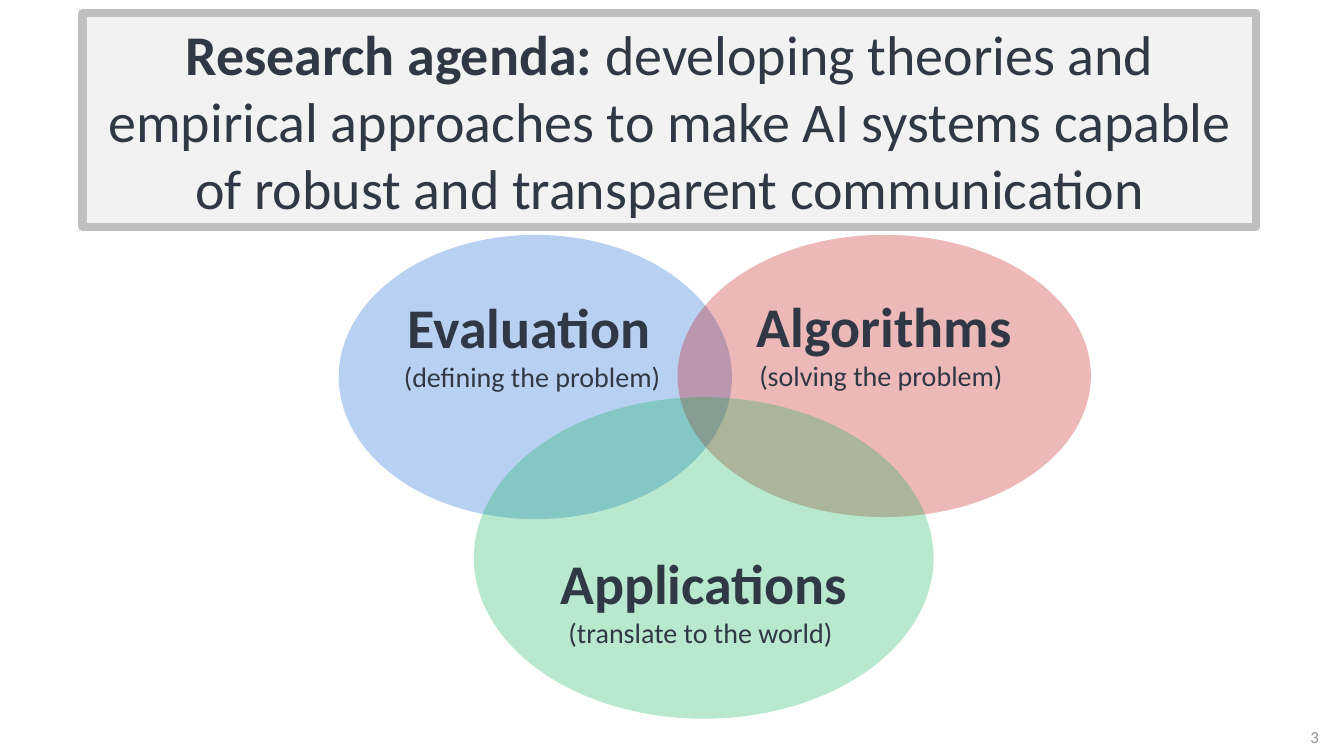
from lxml import etree
from pptx import Presentation
from pptx.dml.color import RGBColor
from pptx.enum import shapes, text
from pptx.oxml.ns import qn
from pptx.util import Inches, Pt

FONT = "Calibri"
INK = "303845"


def rgb(value):
    return RGBColor.from_string(value)


def style_run(r, size, color=INK, bold=False):
    r.font.name = FONT
    r.font.size = Pt(size)
    r.font.bold = bold
    r.font.color.rgb = rgb(color)


def add_filled(s, kind, box, fill):
    sp = s.shapes.add_shape(kind, *map(Inches, box))
    sp.shadow.inherit = False
    sp.fill.solid()
    sp.fill.fore_color.rgb = rgb(fill)
    sp.line.fill.background()
    tf = sp.text_frame
    tf.word_wrap = True
    tf.vertical_anchor = text.MSO_ANCHOR.MIDDLE
    return sp


def add_circle(s, box, fill, title, note, top=0, bottom=0):
    """Venn ellipse; the insets move its label off the overlaps."""
    sp = add_filled(s, shapes.MSO_SHAPE.OVAL, box, fill)
    color = sp.fill._xPr.find(qn("a:solidFill"))[0]
    etree.SubElement(color, qn("a:alpha"), val="28000")
    tf = sp.text_frame
    tf.margin_left = tf.margin_right = 0
    tf.margin_top, tf.margin_bottom = Inches(top), Inches(bottom)
    p = tf.paragraphs[0]
    p.text = f"{title}\v{note} "
    p.alignment = text.PP_ALIGN.CENTER
    style_run(p.runs[0], 40, bold=True)
    style_run(p.runs[1], 20)


def add_banner(s, box, lead, body):
    sp = add_filled(s, shapes.MSO_SHAPE.RECTANGLE, box, "F2F2F2")
    sp.line.color.rgb = rgb("BFBFBF")
    sp.line.width = Pt(6)
    p = sp.text_frame.paragraphs[0]
    p.alignment = text.PP_ALIGN.CENTER
    for words, bold in ((lead, True), (body, False)):
        r = p.add_run()
        r.text = words
        style_run(r, 40, bold=bold)


def add_page_number(s, box, number):
    tf = s.shapes.add_textbox(*map(Inches, box)).text_frame
    tf.word_wrap = True
    tf.vertical_anchor = text.MSO_ANCHOR.MIDDLE
    p = tf.paragraphs[0]
    p.text = number
    p.alignment = text.PP_ALIGN.CENTER
    style_run(p.runs[0], 12, "8F9194")


def main():
    prs = Presentation()
    prs.slide_width, prs.slide_height = Inches(13.33), Inches(7.5)
    s = prs.slides.add_slide(prs.slide_layouts[6])

    add_page_number(s, (12.75, 7.11, 0.58, 0.4), "3")

    # Venn diagram
    add_circle(s, (3.36, 2.33, 3.9, 2.82), "005AD4",
               "Evaluation ", "(defining the problem)", bottom=0.68)
    add_circle(s, (6.72, 2.33, 4.1, 2.8), "C00000",
               "Algorithms", "(solving the problem)", bottom=0.68)
    add_circle(s, (4.7, 3.94, 4.56, 3.19), "00B050",
               "Applications", "(translate to the world)", top=0.81)

    # Agenda statement
    add_banner(s, (0.82, 0.13, 11.64, 2.12), "Research agenda: ",
               "developing theories and empirical approaches to make AI "
               "systems capable of robust and transparent communication")

    prs.save("out.pptx")


if __name__ == "__main__":
    main()
